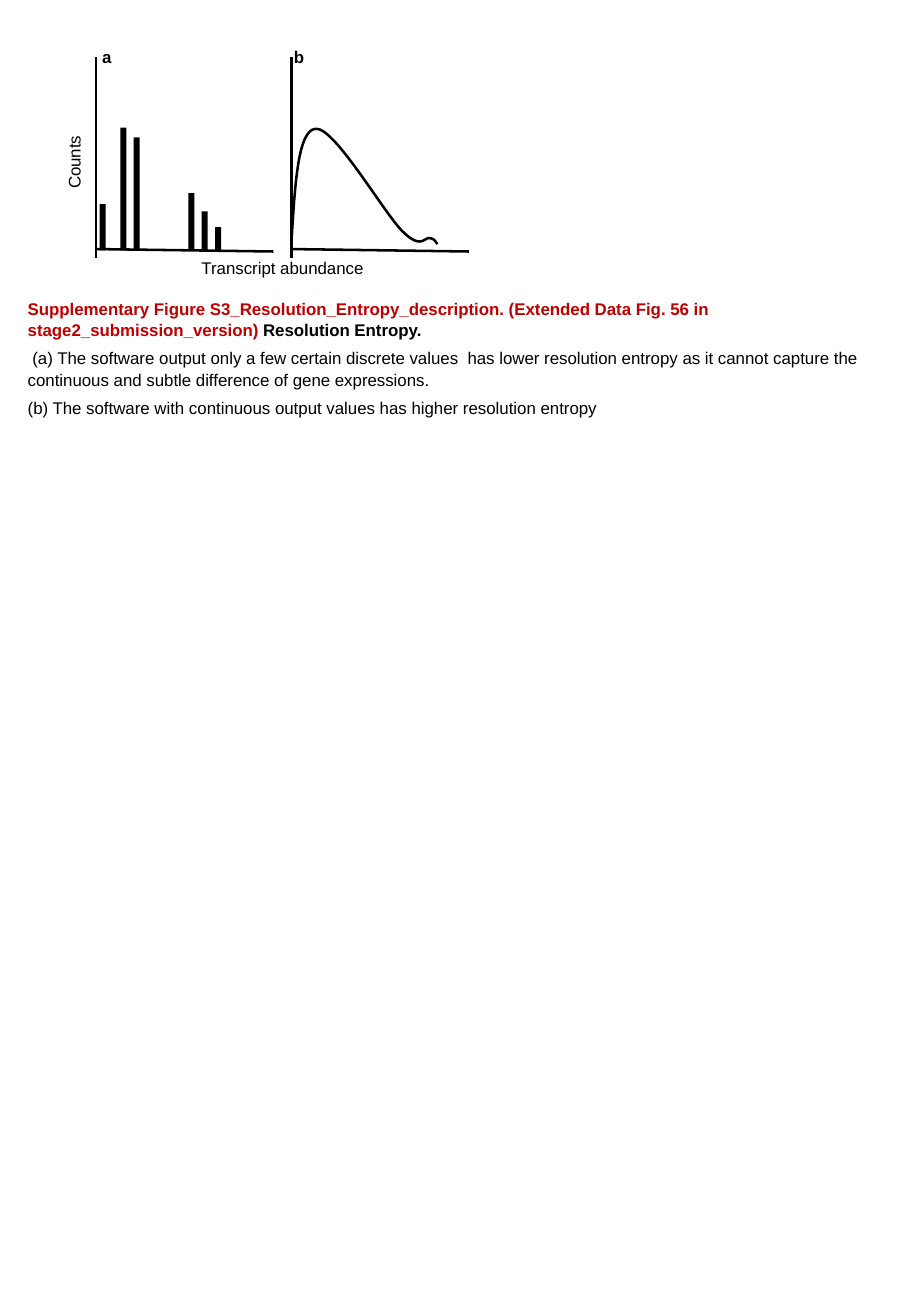
"""Build the resolution entropy figure: two sketched plots and a caption."""
from typing import NamedTuple

from lxml.etree import SubElement
from pptx import Presentation
from pptx.dml.color import RGBColor
from pptx.enum.shapes import MSO_CONNECTOR, MSO_SHAPE
from pptx.enum.text import MSO_AUTO_SIZE, PP_ALIGN
from pptx.oxml.ns import qn
from pptx.util import Inches, Pt

COLORS = {"ink": "000000", "title": "C00000"}
TOP, FOOT, BASE, BAR_WIDTH = 0.47, 2.12, 2.06, 0.05
Point = tuple[float, float]


class Bar(NamedTuple):
    left: float
    top: float


class Label(NamedTuple):
    text: str
    left: float
    top: float
    width: float
    bold: bool = False
    align: PP_ALIGN = PP_ALIGN.LEFT
    turn: int = 0


class Piece(NamedTuple):
    text: str
    color: str = "ink"
    bold: bool = False


AXES = [0.79, 2.4]
BARS = [Bar(0.82, 1.68), Bar(0.99, 1.05), Bar(1.1, 1.13),
        Bar(1.55, 1.59), Bar(1.66, 1.74), Bar(1.77, 1.87)]
START = (2.4, 1.98)
CURVE = [
    ((2.43, 1.53), (2.45, 1.07), (2.6, 1.06)),
    ((2.75, 1.04), (3.16, 1.75), (3.31, 1.9)),
    ((3.47, 2.06), (3.49, 1.95), (3.54, 1.96)),
    ((3.58, 1.97), (3.56, 1.97), (3.57, 1.97)),
    ((3.58, 1.98), (3.59, 1.99), (3.6, 2.01)),
]
LABELS = [
    Label("Transcript abundance", 0.79, 2.12, 3.07, align=PP_ALIGN.CENTER),
    Label("Counts", -0.1, 1.25, 1.42, align=PP_ALIGN.CENTER, turn=270),
    Label("a", 0.84, 0.38, 0.23, bold=True),
    Label("b", 2.42, 0.38, 0.23, bold=True),
]
CAPTION = [
    [Piece("Supplementary Figure S3_Resolution_Entropy_description. (Extended Data "
           "Fig. 56 in stage2_submission_version) ", "title", True),
     Piece("Resolution Entropy.", bold=True)],
    [Piece(" (a) The software output only a few certain discrete values  has lower "
           "resolution entropy as it cannot capture the continuous and subtle "
           "difference of gene expressions.")],
    [Piece("(b) The software with continuous output values has higher "
           "resolution entropy")],
]


def tint(name: str) -> RGBColor:
    return RGBColor.from_string(COLORS[name])


def style(font, color: str, bold: bool) -> None:
    font.name, font.size, font.bold = "Arial", Pt(10), bold
    font.color.rgb = tint(color)


def stroke(line) -> None:
    line.color.rgb = tint("ink")
    line.width = Pt(1.5)


def add_line(shapes, start: Point, end: Point) -> None:
    line = shapes.add_connector(MSO_CONNECTOR.STRAIGHT,
                                *(Inches(v) for v in start + end))
    stroke(line.line)
    SubElement(line._element.spPr, qn("a:effectLst"))


def add_bar(shapes, bar: Bar) -> None:
    shape = shapes.add_shape(MSO_SHAPE.RECTANGLE, Inches(bar.left), Inches(bar.top),
                             Inches(BAR_WIDTH), Inches(BASE - bar.top))
    shape.shadow.inherit = False
    shape.fill.solid()
    shape.fill.fore_color.rgb = tint("ink")
    shape.line.fill.background()


def trace(start: Point, curve: list[tuple[Point, Point, Point]],
          steps: int = 16) -> list[Point]:
    dots = []
    for first, second, end in curve:
        for step in range(1, steps + 1):
            t = step / steps
            u = 1 - t
            x, y = (u**3 * a + 3 * u * u * t * b + 3 * u * t * t * c + t**3 * d
                    for a, b, c, d in zip(start, first, second, end))
            dots.append((Inches(x), Inches(y)))
        start = end
    return dots


def add_curve(shapes) -> None:
    pen = shapes.build_freeform(Inches(START[0]), Inches(START[1]))
    pen.add_line_segments(trace(START, CURVE), close=False)
    shape = pen.convert_to_shape()
    shape.shadow.inherit = False
    shape.fill.background()
    stroke(shape.line)


def add_box(shapes, left: float, top: float, width: float, height: float):
    box = shapes.add_textbox(*(Inches(v) for v in (left, top, width, height)))
    box.text_frame.word_wrap = True
    box.text_frame.auto_size = MSO_AUTO_SIZE.SHAPE_TO_FIT_TEXT
    return box


def add_label(shapes, label: Label) -> None:
    box = add_box(shapes, label.left, label.top, label.width, 0.17)
    box.rotation = label.turn
    frame = box.text_frame
    frame.margin_left = frame.margin_right = 0
    frame.margin_top = frame.margin_bottom = 0
    frame.text = label.text
    para = frame.paragraphs[0]
    para.alignment = label.align
    style(para.runs[0].font, "ink", label.bold)


def add_caption(shapes) -> None:
    frame = add_box(shapes, 0.13, 2.4, 7.24, 1.05).text_frame
    for index, pieces in enumerate(CAPTION):
        para = frame.add_paragraph() if index else frame.paragraphs[0]
        para.space_after = Pt(4)
        para.line_spacing = 1.05
        for piece in pieces:
            run = para.add_run()
            run.text = piece.text
            style(run.font, piece.color, piece.bold)


def main() -> None:
    deck = Presentation()
    deck.slide_width, deck.slide_height = Inches(7.5), Inches(10.83)
    shapes = deck.slides.add_slide(deck.slide_layouts[6]).shapes
    add_caption(shapes)
    for left in AXES:
        add_line(shapes, (left, FOOT), (left, TOP))
        add_line(shapes, (left, 2.05), (left + 1.46, 2.07))
    add_curve(shapes)
    for bar in BARS:
        add_bar(shapes, bar)
    for label in LABELS:
        add_label(shapes, label)
    deck.save("out.pptx")


if __name__ == "__main__":
    main()
